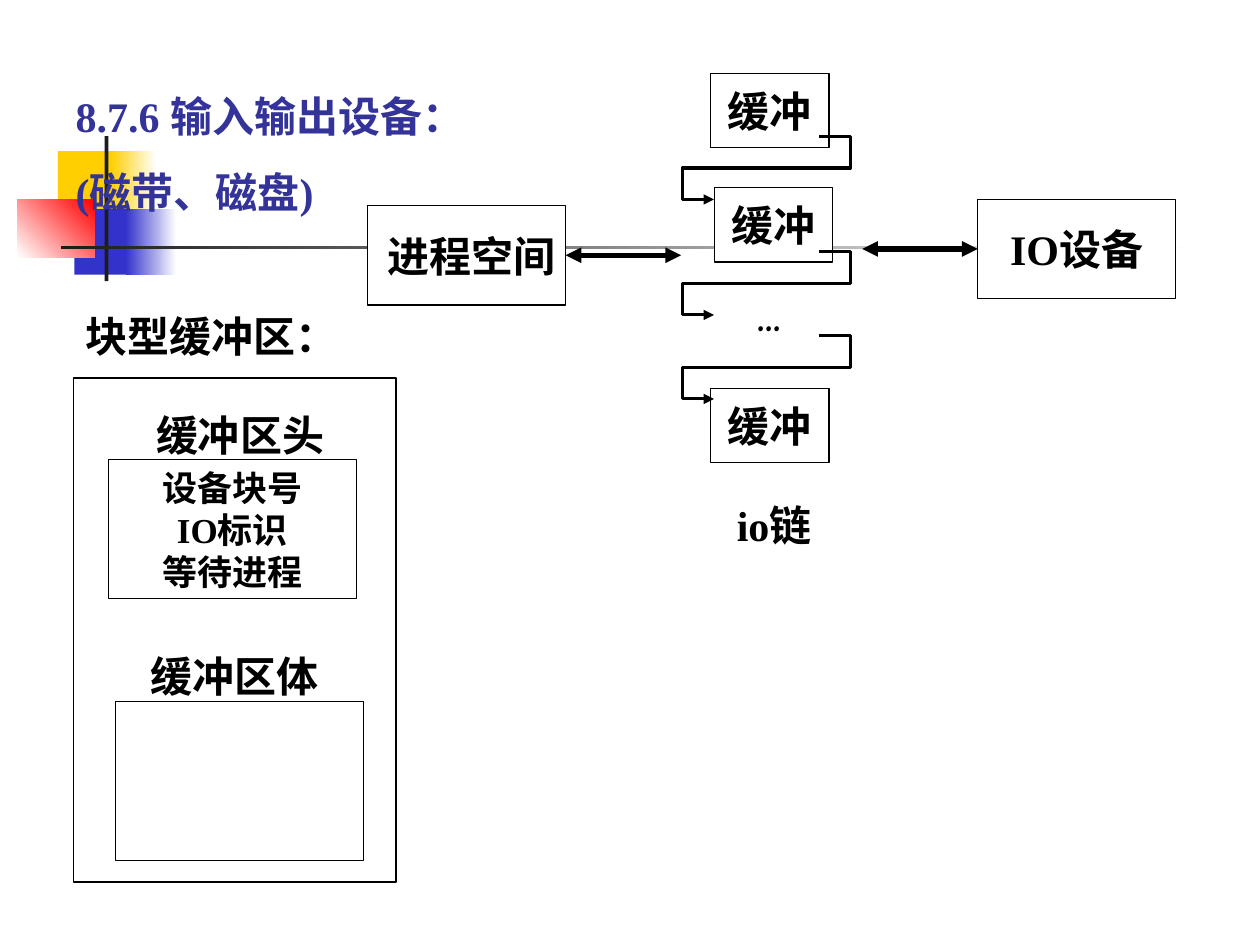
from pptx import Presentation
from pptx.dml.color import RGBColor
from pptx.enum.shapes import MSO_CONNECTOR, MSO_SHAPE
from pptx.enum.text import MSO_ANCHOR, PP_ALIGN
from pptx.oxml.ns import qn
from pptx.util import Pt
from lxml.etree import SubElement

THEME = {
    "font": "Times New Roman", "dots_font": "Comic Neue",
    "size": 24, "small": 20,
    "title": "333399", "ink": "000000", "paper": "FFFFFF",
    "yellow": "FFCF01", "blue": "3333CC", "red": "FF0000", "bar": "1C1C1C",
    "outline": 0.75, "chain": 1.75, "arrow": 3,
}

# All positions are left, top, width, height in points.
# Decoration: position, fill colours (two make a gradient), gradient angle
DECORATION = [
    ((33.1, 86.4, 34.6, 37.4), ["yellow"], 0),
    ((63.4, 86.4, 25.9, 37.4), ["yellow", "paper"], 0),
    ((42.5, 119.5, 33.1, 37.4), ["blue"], 0),
    ((72, 119.5, 28.8, 37.4), ["blue", "paper"], 0),
    ((10.1, 113.8, 43.9, 33.1), ["paper", "red"], 45),
    ((59.8, 77.8, 2.2, 82.8), ["bar"], 0),
    ((34.6, 140.4, 648, 2.2), ["bar", "paper"], 0),
]

TITLE = ["8.7.6 输入输出设备：", "(磁带、磁盘)"]
TITLE_PLACE = (36, 48, 288, 80)

BLOCK_PLACE = (42, 216, 184.3, 288)
BLOCK_PARTS = ["缓冲区头", "缓冲区体"]
HEADER_PLACE = (62, 262.8, 141.8, 79.2)
HEADER_FIELDS = ["设备块号", "IO标识", "等待进程"]
BODY_PLACE = (66, 401, 141.8, 90.7)

LABELS = [
    (["块型缓冲区："], (42, 174, 162, 36), "font"),
    (["..."], (426, 162, 42, 36), "dots_font"),
    (["io链"], (414, 282, 72, 36), "font"),
]

PROCESS, PROCESS_PLACE = ["进程空间"], (210.2, 117.4, 113, 56.9)
DEVICE, DEVICE_PLACE = ["IO设备"], (558.7, 113.8, 113, 56.9)
ARROW_LENGTH = 66

BUFFER = ["缓冲"]
BUFFER_SIZE = (67.7, 42.5)
BUFFER_CORNERS = [(406.1, 41.8), (408.2, 107.3), (406.1, 221.8)]

CHAIN_TOPS = [78, 144, 192]
CHAIN_START, CHAIN_RIGHT, CHAIN_LEFT, CHAIN_END = 468, 486, 390, 408
CHAIN_STEP = 18


def color(name):
    return RGBColor.from_string(THEME[name])


def points(values):
    return [Pt(value) for value in values]


def write(shape, lines, size="size", font="font", ink="ink",
          align=PP_ALIGN.LEFT, anchor=MSO_ANCHOR.TOP, gap=0,
          margins=(7.2, 3.6, 7.2, 3.6), first_indent=0):
    frame = shape.text_frame
    frame.word_wrap = True
    frame.vertical_anchor = anchor
    (frame.margin_left, frame.margin_top,
     frame.margin_right, frame.margin_bottom) = points(margins)
    for index, line in enumerate(lines):
        paragraph = frame.add_paragraph() if index else frame.paragraphs[0]
        paragraph.alignment = align
        paragraph.space_before = Pt(gap if index else 0)
        if not index and first_indent:
            paragraph._p.get_or_add_pPr().set("marL", str(Pt(first_indent)))
        run = paragraph.add_run()
        run.text = line
        run.font.name = THEME[font]
        run.font.size = Pt(THEME[size])
        run.font.bold = True
        run.font.color.rgb = color(ink)


def add_box(shapes, place, fills=("paper",), angle=0, outlined=True):
    box = shapes.add_shape(MSO_SHAPE.RECTANGLE, *points(place))
    box.shadow.inherit = False
    if len(fills) == 1:
        box.fill.solid()
        box.fill.fore_color.rgb = color(fills[0])
    else:
        box.fill.gradient()
        box.fill.gradient_angle = angle
        for stop, name in zip(box.fill.gradient_stops, fills):
            stop.color.rgb = color(name)
    if outlined:
        box.line.color.rgb = color("ink")
        box.line.width = Pt(THEME["outline"])
    else:
        box.line.fill.background()
    return box


def add_node(shapes, lines, place, margins=(4.3, 3.6, 4.3, 3.6), **style):
    box = add_box(shapes, place)
    write(box, lines, align=PP_ALIGN.CENTER, anchor=MSO_ANCHOR.MIDDLE,
          margins=margins, **style)
    return box


def draw_line(shape, width, *ends):
    """Style a line and put a triangle at each end named headEnd or tailEnd."""
    shape.line.color.rgb = color("ink")
    shape.line.width = Pt(THEME[width])
    outline = shape.element.spPr.find(qn("a:ln"))
    for end in ends:
        SubElement(outline, qn(f"a:{end}"), type="triangle")


def add_arrow(shapes, box, side, length):
    """Run a level double arrow from the middle of a box side."""
    start_x = box.left + (box.width if side == 3 else 0)
    middle = box.top + box.height // 2
    arrow = shapes.add_connector(MSO_CONNECTOR.STRAIGHT, start_x, middle,
                                 start_x + Pt(length), middle)
    arrow.begin_connect(box, side)
    draw_line(arrow, "arrow", "headEnd", "tailEnd")
    SubElement(arrow.element.spPr, qn("a:effectLst"))


def add_chain_link(shapes, top):
    middle, bottom = top + CHAIN_STEP, top + 2 * CHAIN_STEP
    corners = [(CHAIN_RIGHT, top), (CHAIN_RIGHT, middle), (CHAIN_LEFT, middle),
               (CHAIN_LEFT, bottom), (CHAIN_END, bottom)]
    builder = shapes.build_freeform(Pt(CHAIN_START), Pt(top))
    builder.add_line_segments([points(corner) for corner in corners], close=False)
    link = builder.convert_to_shape()
    link.fill.background()
    link.shadow.inherit = False
    draw_line(link, "chain", "tailEnd")


def main():
    presentation = Presentation()
    presentation.slide_width, presentation.slide_height = Pt(720), Pt(540)
    slide = presentation.slides.add_slide(presentation.slide_layouts[5])
    shapes = slide.shapes

    for place, fills, angle in DECORATION:
        add_box(shapes, place, fills, angle, outlined=False)

    title = shapes.title
    title.left, title.top, title.width, title.height = points(TITLE_PLACE)
    write(title, TITLE, ink="title", gap=15)
    title.element.getparent().append(title.element)  # in front of the decoration

    block = shapes.add_group_shape().shapes
    write(add_box(block, BLOCK_PLACE), BLOCK_PARTS, align=PP_ALIGN.CENTER,
          gap=109, margins=(7.2, 18, 7.2, 3.6), first_indent=6)
    add_node(block, HEADER_FIELDS, HEADER_PLACE, size="small")
    add_box(block, BODY_PLACE)

    process = add_node(shapes, PROCESS, PROCESS_PLACE, margins=(10, 3.6, 4.3, 3.6))
    device = add_node(shapes, DEVICE, DEVICE_PLACE)
    add_arrow(shapes, process, 3, ARROW_LENGTH)
    add_arrow(shapes, device, 1, -ARROW_LENGTH)

    for corner in BUFFER_CORNERS:
        add_node(shapes, BUFFER, corner + BUFFER_SIZE)
    for top in CHAIN_TOPS:
        add_chain_link(shapes, top)
    for lines, place, font in LABELS:
        write(shapes.add_textbox(*points(place)), lines, font=font)

    presentation.save("out.pptx")


if __name__ == "__main__":
    main()
